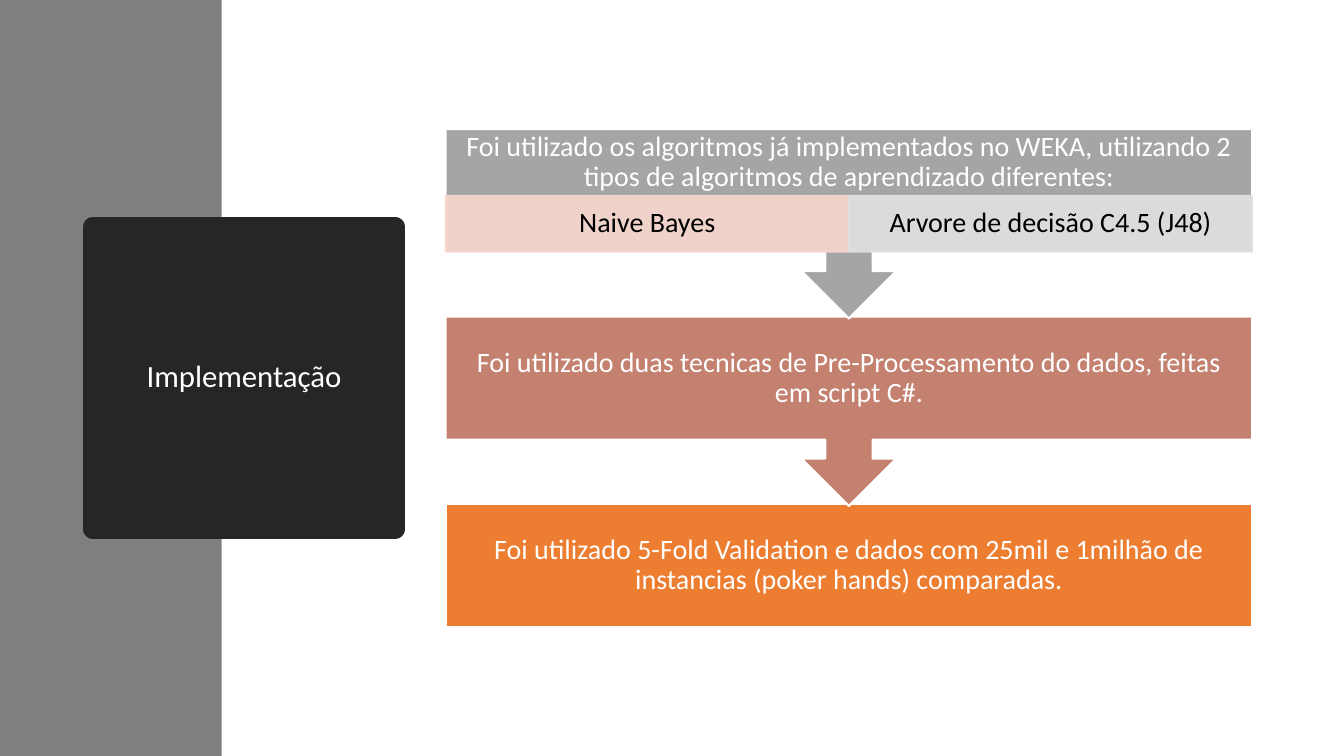
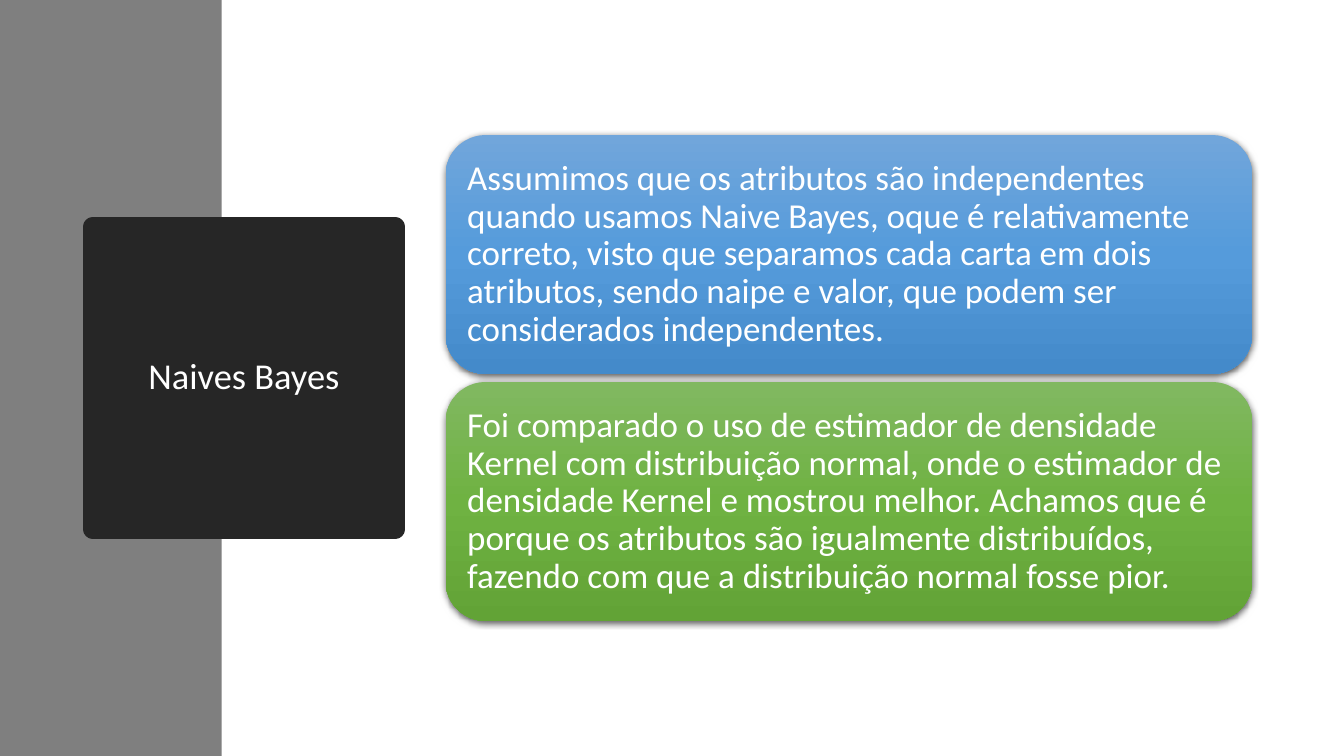
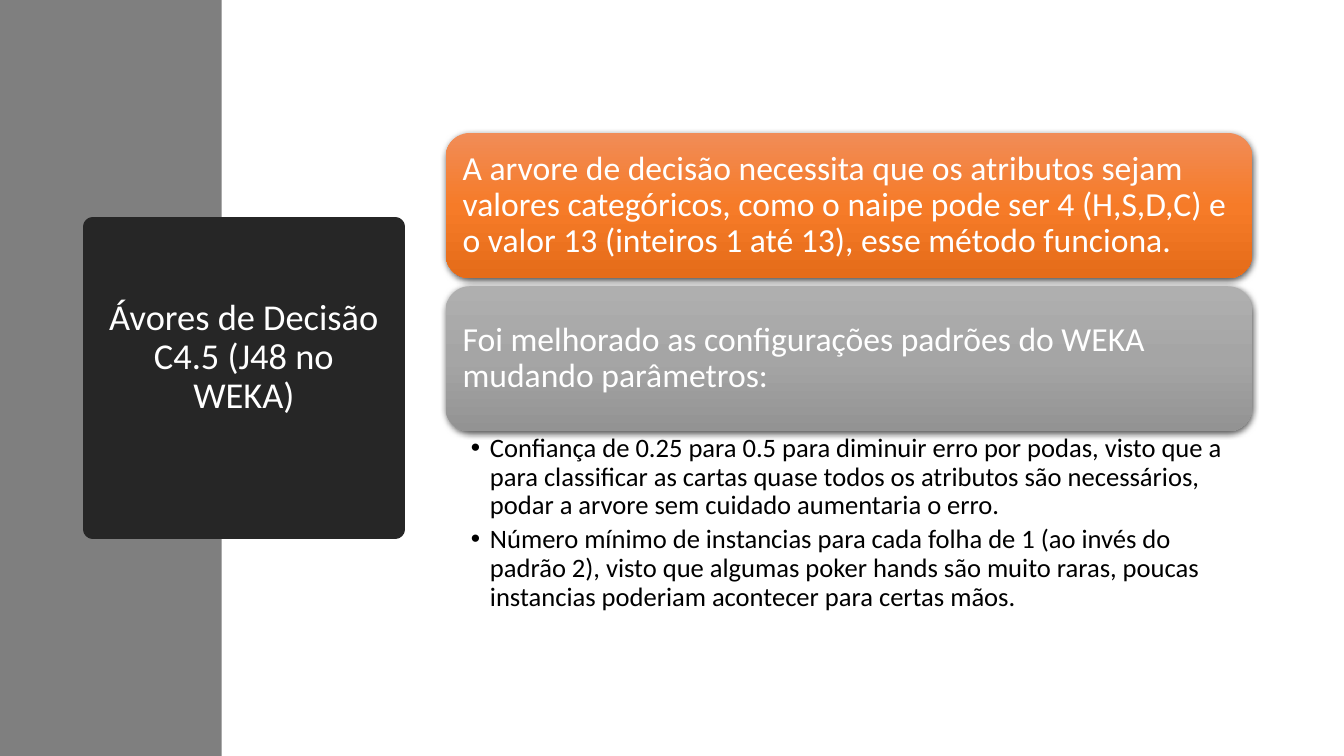
from lxml import etree
from pptx import Presentation
from pptx import util as u
from pptx.dml.color import RGBColor
from pptx.enum import shapes, text
from pptx.oxml import ns

WHITE = RGBColor(0xFF, 0xFF, 0xFF)
BLACK = RGBColor(0x00, 0x00, 0x00)
BAND = RGBColor(0x7F, 0x7F, 0x7F)
DARK = RGBColor(0x26, 0x26, 0x26)
ORANGE = RGBColor(0xED, 0x7D, 0x31)
CLAY = RGBColor(0xC4, 0x81, 0x70)
GREY = RGBColor(0xA5, 0xA5, 0xA5)
BLUSH = RGBColor(0xF8, 0xD7, 0xCE)
PALE = RGBColor(0xE1, 0xE1, 0xE1)
BLUES = [RGBColor(0x71, 0xA6, 0xDB), RGBColor(0x55, 0x9B, 0xDB), RGBColor(0x44, 0x8A, 0xCA)]
GREENS = [RGBColor(0x81, 0xB8, 0x61), RGBColor(0x6F, 0xB2, 0x42), RGBColor(0x62, 0xA3, 0x36)]
FLAMES = [RGBColor(0xF1, 0x8C, 0x57), RGBColor(0xF6, 0x7B, 0x28), RGBColor(0xE5, 0x6C, 0x19)]
GREYS = [RGBColor(0xAF, 0xAF, 0xAF), RGBColor(0xA5, 0xA5, 0xA5), RGBColor(0x93, 0x93, 0x93)]

FONT = "Calibri"
LEFT, WIDTH = 4.42, 8
KIND = shapes.MSO_SHAPE
ALIGN = text.PP_ALIGN


def add(parent, tag, **attrs):
    return etree.SubElement(parent, ns.qn(tag), {k: str(v) for k, v in attrs.items()})


class Deck:
    """Holds the shared style and the slide being built."""

    def __init__(self):
        self.prs = Presentation()
        self.prs.slide_width = u.Inches(13.33)
        self.prs.slide_height = u.Inches(7.5)

    def start(self, title, size, lift=0):
        self.slide = self.prs.slides.add_slide(self.prs.slide_layouts[5])
        head = self.slide.shapes.title
        head.left, head.top = u.Inches(0.92), u.Inches(2.25)
        head.width = head.height = u.Inches(3)
        head.fill.solid()
        head.fill.fore_color.rgb = DARK
        head.line.color.rgb = DARK
        head.line.width = u.Pt(13.75)
        self.label(head, [title], size, WHITE, ALIGN.CENTER, (0.1, 0.05, 0.1, 0.05 + lift))
        band = self.box(KIND.RECTANGLE, 0, 0, 2.2, 7.5, BAND)
        head.element.addprevious(band.element)

    def label(self, shape, lines, size, color, align, pads, anchor=text.MSO_ANCHOR.MIDDLE):
        frame = shape.text_frame
        frame.text = "\n".join(lines)
        frame.word_wrap = True
        frame.auto_size = text.MSO_AUTO_SIZE.NONE
        frame.vertical_anchor = anchor
        (frame.margin_left, frame.margin_top,
         frame.margin_right, frame.margin_bottom) = map(u.Inches, pads)
        for para in frame.paragraphs:
            para.alignment = align
            para.line_spacing = 0.9
            for run in para.runs:
                run.font.name = FONT
                run.font.size = u.Pt(size)
                run.font.color.rgb = color

    def box(self, kind, left, top, width, height, fill=None, line=None, weight=1.5):
        shape = self.slide.shapes.add_shape(kind, *map(u.Inches, (left, top, width, height)))
        shape.shadow.inherit = False
        if fill is not None:
            shape.fill.solid()
            shape.fill.fore_color.rgb = fill
        if line is None:
            shape.line.fill.background()
        else:
            shape.line.color.rgb = line
            shape.line.width = u.Pt(weight)
        return shape

    def step(self, kind, top, height, fill, words, foot=0):
        shape = self.box(kind, LEFT, top, WIDTH, height, fill, WHITE)
        self.label(shape, [words], 20, WHITE, ALIGN.CENTER, (0.16, 0, 0.16, foot))

    def cell(self, col, top, fill, words):
        wide = WIDTH / 2
        shape = self.box(KIND.RECTANGLE, LEFT + col * wide, top, wide, 0.56, fill, fill, 1)
        for tone in shape.element.spPr.iter(ns.qn("a:srgbClr")):
            add(tone, "a:alpha", val=90000)
        self.label(shape, [words], 20, BLACK, ALIGN.CENTER, (0.16, 0.03, 0.16, 0.03))

    def card(self, top, height, tones, size, words):
        shape = self.box(KIND.ROUNDED_RECTANGLE, LEFT, top, WIDTH, height)
        props = shape.element.spPr
        grad = etree.Element(ns.qn("a:gradFill"), rotWithShape="1")
        stops = add(grad, "a:gsLst")
        for i, tone in enumerate(tones):
            add(add(stops, "a:gs", pos=i * 50000), "a:srgbClr", val=tone)
        add(grad, "a:lin", ang=5400000, scaled=0)
        props.find(ns.qn("a:prstGeom")).addnext(grad)
        shade = add(props.find(ns.qn("a:effectLst")), "a:outerShdw", blurRad=u.Pt(4.5),
                    dist=u.Pt(1.5), dir=5400000, algn="ctr", rotWithShape=0)
        add(add(shade, "a:srgbClr", val=BLACK), "a:alpha", val=63000)
        self.label(shape, [words], size, WHITE, ALIGN.LEFT, (0.1,) * 4)

    def bullets(self, top, height, lines):
        shape = self.slide.shapes.add_textbox(*map(u.Inches, (LEFT, top, WIDTH, height)))
        self.label(shape, lines, 19, BLACK, ALIGN.LEFT, (0.25, 0.03, 0.19, 0.03),
                   text.MSO_ANCHOR.TOP)
        dent = u.Inches(0.19)
        for para in shape.text_frame.paragraphs:
            para.space_after = u.Pt(3.8)
            props = para._p.get_or_add_pPr()
            props.set("marL", str(dent))
            props.set("indent", str(-dent))
            add(props, "a:buFont", typeface="Arial")
            add(props, "a:buChar", char="•")


deck = Deck()

deck.start("Implementação", 22)
deck.step(KIND.RECTANGLE, 5, 1.22, ORANGE,
          "Foi utilizado 5-Fold Validation e dados com 25mil e 1milhão de instancias "
          "(poker hands) comparadas.")
deck.step(KIND.DOWN_ARROW_CALLOUT, 3.14, 1.88, CLAY,
          "Foi utilizado duas tecnicas de Pre-Processamento do dados, feitas em script C#.")
deck.step(KIND.DOWN_ARROW_CALLOUT, 1.28, 1.88, GREY,
          "Foi utilizado os algoritmos já implementados no WEKA, utilizando 2 tipos de "
          "algoritmos de aprendizado diferentes:", foot=0.56)
deck.cell(0, 1.94, BLUSH, "Naive Bayes")
deck.cell(1, 1.94, PALE, "Arvore de decisão C4.5 (J48)")

deck.start("Naives Bayes", 26)
deck.card(1.34, 2.37, BLUES, 25,
          "Assumimos que os atributos são independentes quando usamos Naive Bayes, oque é "
          "relativamente correto, visto que separamos cada carta em dois atributos, sendo "
          "naipe e valor, que podem ser considerados independentes.")
deck.card(3.79, 2.37, GREENS, 25,
          "Foi comparado o uso de estimador de densidade Kernel com distribuição normal, "
          "onde o estimador de densidade Kernel e mostrou melhor. Achamos que é porque os "
          "atributos são igualmente distribuídos, fazendo com que a distribuição normal "
          "fosse pior.")

deck.start("Ávores de Decisão C4.5 (J48 no WEKA)", 26, lift=0.4)
deck.card(1.32, 1.44, FLAMES, 24,
          "A arvore de decisão necessita que os atributos sejam valores categóricos, como o "
          "naipe pode ser 4 (H,S,D,C) e o valor 13 (inteiros 1 até 13), esse método funciona.")
deck.card(2.84, 1.44, GREYS, 24,
          "Foi melhorado as configurações padrões do WEKA mudando parâmetros:")
deck.bullets(4.28, 1.9, [
    "Confiança de 0.25 para 0.5 para diminuir erro por podas, visto que a para classificar "
    "as cartas quase todos os atributos são necessários, podar a arvore sem cuidado "
    "aumentaria o erro.",
    "Número mínimo de instancias para cada folha de 1 (ao invés do padrão 2), visto que "
    "algumas poker hands são muito raras, poucas instancias poderiam acontecer para certas "
    "mãos."])

deck.prs.save("out.pptx")
